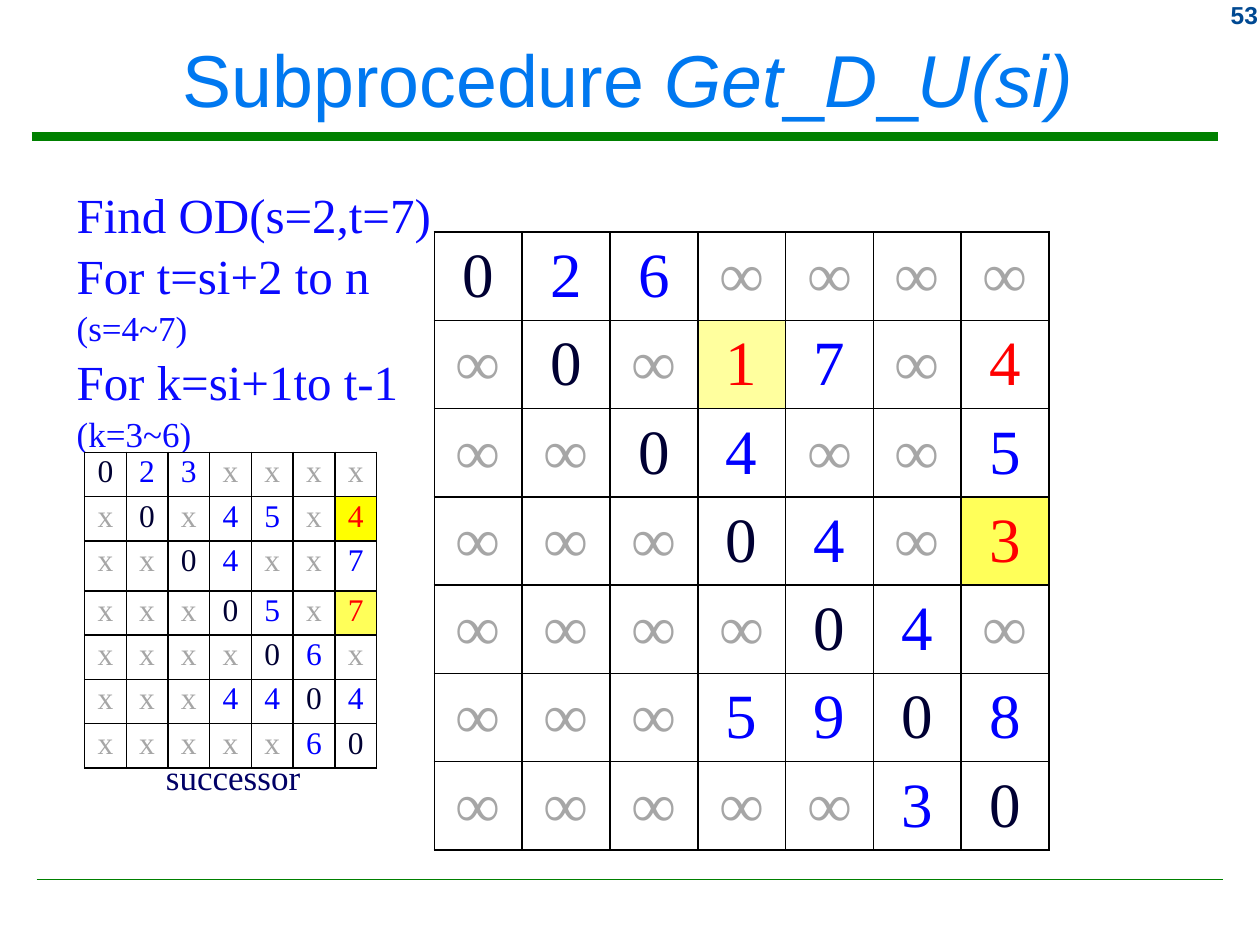
"""Build the Get_D_U subprocedure slide with its distance and successor tables."""
from lxml import etree
from pptx import Presentation
from pptx.dml.color import RGBColor
from pptx.enum import shapes, text
from pptx.oxml import ns
from pptx.util import Pt

SANS = "Arial"
SERIF = "Times New Roman"
GREEN = RGBColor(0x00, 0x80, 0x00)
TITLE_BLUE = RGBColor(0x00, 0x78, 0xF0)
NUMBER_BLUE = RGBColor(0x00, 0x49, 0x92)
BODY_BLUE = RGBColor(0x0A, 0x0A, 0xFF)
CAPTION_NAVY = RGBColor(0x00, 0x00, 0x66)
DIAGONAL = RGBColor(0x00, 0x00, 0x33)
REACHED = RGBColor(0x00, 0x00, 0xFF)
UNREACHED = RGBColor(0xA6, 0xA6, 0xA6)
RED = RGBColor(0xFF, 0x00, 0x00)
WHITE = RGBColor(0xFF, 0xFF, 0xFF)
YELLOW = RGBColor(0xFF, 0xFF, 0x00)
SOFT_YELLOW = RGBColor(0xFF, 0xFF, 0x59)
PALE_YELLOW = RGBColor(0xFF, 0xFF, 0x9E)

SUCCESSORS = ["023xxxx", "x0x45x4", "xx04xx7", "xxx05x7",
              "xxxx06x", "xxx4404", "xxxxx60"]
DISTANCES = ["026∞∞∞∞", "∞0∞17∞4", "∞∞04∞∞5", "∞∞∞04∞3",
             "∞∞∞∞04∞", "∞∞∞5908", "∞∞∞∞∞30"]
SUCCESSOR_MARKS = {(1, 6): YELLOW, (3, 6): SOFT_YELLOW}
DISTANCE_MARKS = {(1, 3): PALE_YELLOW, (1, 6): WHITE, (3, 6): SOFT_YELLOW}


def write_text(frame, lines, size, color, font=SERIF, bold=False,
               align=text.PP_ALIGN.LEFT, spacing=None):
    """Fill a frame with lines, each a list of (words, run format) pairs."""
    for index, runs in enumerate(lines):
        paragraph = frame.add_paragraph() if index else frame.paragraphs[0]
        paragraph.alignment = align
        paragraph.line_spacing = spacing
        for words, own in runs:
            run = paragraph.add_run()
            run.text = words
            run.font.name = font
            run.font.size = Pt(own.get("size", size))
            run.font.bold = bold
            run.font.italic = own.get("italic", False)
            run.font.color.rgb = color


def add_text_box(slide, left, top, width, height, lines, wrap=True,
                 anchor=text.MSO_ANCHOR.TOP, **text_format):
    """Add a text box with formatted lines."""
    box = slide.shapes.add_textbox(Pt(left), Pt(top), Pt(width), Pt(height))
    box.text_frame.word_wrap = wrap
    box.text_frame.vertical_anchor = anchor
    write_text(box.text_frame, lines, **text_format)


def add_rule(slide, left, right, top, weight):
    """Add a green horizontal rule."""
    rule = slide.shapes.add_connector(
        shapes.MSO_CONNECTOR.STRAIGHT, Pt(left), Pt(top), Pt(right), Pt(top))
    rule.line.color.rgb = GREEN
    rule.line.width = Pt(weight)
    etree.SubElement(rule._element.spPr, ns.qn("a:effectLst"))


def set_borders(cell):
    """Draw thin black borders on all sides of a cell."""
    properties = cell._tc.get_or_add_tcPr()
    for index, side in enumerate(("lnL", "lnR", "lnT", "lnB")):
        line = etree.Element(ns.qn(f"a:{side}"), w=str(Pt(1)))
        fill = etree.SubElement(line, ns.qn("a:solidFill"))
        etree.SubElement(fill, ns.qn("a:srgbClr"), val="000000")
        properties.insert(index, line)


def value_color(value):
    """Return the text colour that a matrix value calls for."""
    return {"0": DIAGONAL, "x": UNREACHED, "∞": UNREACHED}.get(value, REACHED)


def add_matrix(slide, left, top, column_width, row_heights, values, marks,
               size, margins, anchor):
    """Add a bordered matrix whose marked cells have red text."""
    count = len(values)
    table = slide.shapes.add_table(
        count, count, Pt(left), Pt(top),
        Pt(column_width * count), Pt(sum(row_heights))).table
    table.first_row = table.horz_banding = False
    for column in table.columns:
        column.width = Pt(column_width)
    for row, height in zip(table.rows, row_heights):
        row.height = Pt(height)
    side_margin, end_margin = margins
    for row, line in enumerate(values):
        for column, value in enumerate(line):
            cell = table.cell(row, column)
            cell.margin_left = cell.margin_right = Pt(side_margin)
            cell.margin_top = cell.margin_bottom = Pt(end_margin)
            cell.vertical_anchor = anchor
            cell.fill.solid()
            cell.fill.fore_color.rgb = marks.get((row, column), WHITE)
            set_borders(cell)
            color = RED if (row, column) in marks else value_color(value)
            write_text(cell.text_frame, [[(value, {})]], size, color,
                       align=text.PP_ALIGN.CENTER)


def main():
    """Build and save the slide."""
    presentation = Presentation()
    presentation.slide_width, presentation.slide_height = Pt(720), Pt(540)
    slide = presentation.slides.add_slide(presentation.slide_layouts[6])

    add_rule(slide, 18, 696, 78, 5.25)
    add_rule(slide, 21, 699, 502.5, 1)
    add_text_box(slide, 660, -3.6, 66, 24, [[("53", {})]], size=14, font=SANS,
                 color=NUMBER_BLUE, bold=True, align=text.PP_ALIGN.RIGHT)

    italic = {"italic": True}
    title = [("Subprocedure ", {}), ("Get", italic), ("_", {}),
             ("D", italic), ("_", {}), ("U(si)", italic)]
    add_text_box(slide, 6, 6.5, 705.5, 76, [title], size=42, font=SANS,
                 color=TITLE_BLUE, align=text.PP_ALIGN.CENTER,
                 anchor=text.MSO_ANCHOR.MIDDLE)

    add_text_box(slide, 87.8, 428.4, 92, 31.5, [[("successor", {})]],
                 wrap=False, size=20, color=CAPTION_NAVY)
    small = {"size": 20}
    steps = [[("Find OD(s=2,t=7)", {})], [("For t=si+2 to n", {})],
             [("(s=4~7)", small)], [("For k=si+1to t-1", {})],
             [("(k=3~6)", small)]]
    add_text_box(slide, 36.7, 100, 232.5, 191.5, steps, size=28,
                 color=BODY_BLUE, spacing=1.05)

    add_matrix(slide, 48.3, 258.5, 23.86, [25.3] * 2 + [28.6] + [25.3] * 4,
               SUCCESSORS, SUCCESSOR_MARKS, size=18, margins=(3.6, 1.44),
               anchor=text.MSO_ANCHOR.TOP)
    add_matrix(slide, 248.2, 132.7, 50.2, [50.4] * 7,
               DISTANCES, DISTANCE_MARKS, size=36, margins=(7.2, 3.6),
               anchor=text.MSO_ANCHOR.MIDDLE)

    presentation.save("out.pptx")


if __name__ == "__main__":
    main()
